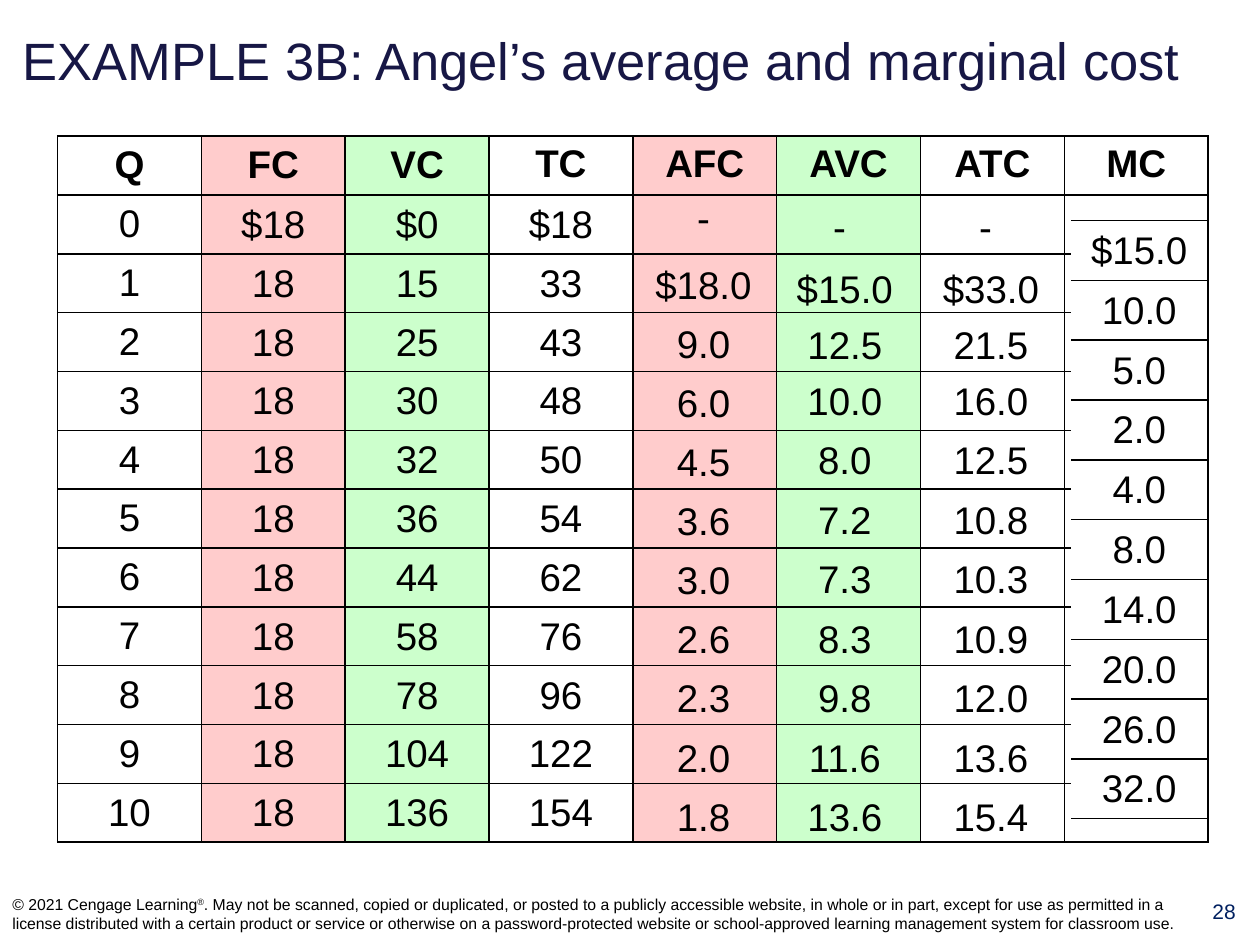
from pptx import Presentation
from pptx.dml.color import RGBColor as Rgb
from pptx.enum.text import MSO_ANCHOR as Anchor, PP_ALIGN as Align
from pptx.oxml import parse_xml
from pptx.oxml.ns import nsdecls
from pptx.util import Pt

COLORS = {"black": "000000", "white": "FFFFFF", "title": "171745",
          "page": "002060", "pink": "FFCCCC", "green": "CCFFCC"}
TIGHT = (0.75, 0.75, 0.75, 0)
WIDE = (7.2, 3.6, 7.2, 3.6)

HEADS = ["Q", "FC", "VC", "TC", "AFC", "AVC", "ATC", "MC"]
FILLS = [None, "pink", "green", None, "pink", "green", None, None]
VC = ["$0", 15, 25, 30, 32, 36, 44, 58, 78, 104, 136]
TC = ["$18", 33, 43, 48, 50, 54, 62, 76, 96, 122, 154]
AFC = [" - ", "$18.0", "9.0", "6.0", "4.5", "3.6", "3.0", "2.6",
       "2.3", "2.0", "1.8"]
AVC = ["- ", "$15.0", "12.5", "10.0", "8.0", "7.2", "7.3", "8.3",
       "9.8", "11.6", "13.6"]
ATC = ["- ", "$33.0", "21.5", "16.0", "12.5", "10.8", "10.3", "10.9",
       "12.0", "13.6", "15.4"]
MC = ["$15.0", "10.0", "5.0", "2.0", "4.0", "8.0", "14.0", "20.0",
      "26.0", "32.0"]
LEGAL = (". May not be scanned, copied or duplicated, or posted to a publicly "
         "accessible website, in whole or in part, except for use as permitted "
         "in a license distributed with a certain product or service or "
         "otherwise on a password-protected website or school-approved "
         "learning management system for classroom use.")


class Deck:
    font = "Arial"
    size = 22

    def __init__(self, slide):
        self.slide = slide

    def run(self, para, text, size, color="black", bold=False, base=0):
        run = para.add_run()
        run.text = text
        run.font.name = self.font
        run.font.size = Pt(size)
        run.font.bold = bold
        run.font.color.rgb = Rgb.from_string(COLORS[color])
        if base:
            run._r.get_or_add_rPr().set("baseline", str(base * 1000))

    def text(self, box, runs, size, color="black", align=Align.LEFT,
             anchor=Anchor.MIDDLE):
        frame = self.slide.shapes.add_textbox(*map(Pt, box)).text_frame
        frame.word_wrap = True
        frame.vertical_anchor = anchor
        para = frame.paragraphs[0]
        para.alignment = align
        for text, base in runs:
            self.run(para, text, size, color, base=base)

    def table(self, left, top, width, heights, cols=1):
        rows = len(heights)
        grid = self.slide.shapes.add_table(
            rows, cols, Pt(left), Pt(top), Pt(width * cols),
            Pt(sum(heights))).table
        grid.first_row = grid.horz_banding = False
        for col in grid.columns:
            col.width = Pt(width)
        for row, height in zip(grid.rows, heights):
            row.height = Pt(height)
        return grid

    def cell(self, cell, text="", fill=None, sides="", pad=TIGHT,
             anchor=Anchor.MIDDLE, bold=False):
        props = cell._tc.get_or_add_tcPr()
        for side in "LRTB":
            paint = "<a:noFill/>"
            if side in sides:
                paint = (f'<a:solidFill><a:srgbClr val="{COLORS["black"]}"/>'
                         '</a:solidFill>')
            props.append(parse_xml(
                f'<a:ln{side} {nsdecls("a")} w="{Pt(1)}">{paint}</a:ln{side}>'))
        if fill:
            cell.fill.solid()
            cell.fill.fore_color.rgb = Rgb.from_string(COLORS[fill])
        else:
            cell.fill.background()
        (cell.margin_left, cell.margin_top, cell.margin_right,
         cell.margin_bottom) = map(Pt, pad)
        cell.vertical_anchor = anchor
        if text:
            para = cell.text_frame.paragraphs[0]
            para.alignment = Align.CENTER
            self.run(para, text, self.size, bold=bold)

    def costs(self, left, top, width, height):
        rows = [HEADS]
        for q, (var, total) in enumerate(zip(VC, TC)):
            rows.append([str(q), "$18" if q == 0 else "18", str(var),
                         str(total), "", "", "", ""])
        grid = self.table(left, top, width, [height] * len(rows), len(HEADS))
        for r, row in enumerate(rows):
            for c, text in enumerate(row):
                head = r == 0
                self.cell(grid.cell(r, c), text, FILLS[c], "LRTB",
                          WIDE if head or c == 0 else TIGHT,
                          Anchor.TOP if head and c > 2 else Anchor.MIDDLE,
                          head)

    def column(self, left, top, width, heights, values, fill=None, sides="",
               anchor=Anchor.BOTTOM):
        grid = self.table(left, top, width, heights)
        for r, text in enumerate(values):
            self.cell(grid.cell(r, 0), text, fill, sides,
                      anchor=anchor if r else Anchor.MIDDLE)


def main():
    prs = Presentation()
    prs.slide_width, prs.slide_height = Pt(720), Pt(540)
    deck = Deck(prs.slides.add_slide(prs.slide_layouts[6]))
    deck.text((6, 8, 702, 52),
              [("EXAMPLE 3B: Angel’s average and marginal cost", 0)],
              30, "title")
    deck.text((679, 510, 41, 29), [("28", 0)], 12, "page", Align.CENTER,
              Anchor.TOP)
    deck.costs(32.9, 77.8, 82.2, 33.5)
    deck.column(360, 108, 84, [33.8] * 11, AFC)
    steps = [32] * 4 + [34] * 7
    for left, values in ((425.5, AVC), (509, ATC)):
        deck.column(left, 114, 114.5, steps, values)
    deck.column(612, 126, 78, [34.2] * 10, MC, "white", "TB", Anchor.MIDDLE)
    deck.text((0, 504, 684, 36),
              [("© 2021 Cengage Learning", 0), ("®", 30), (LEGAL, 0)], 9)
    prs.save("out.pptx")


if __name__ == "__main__":
    main()
